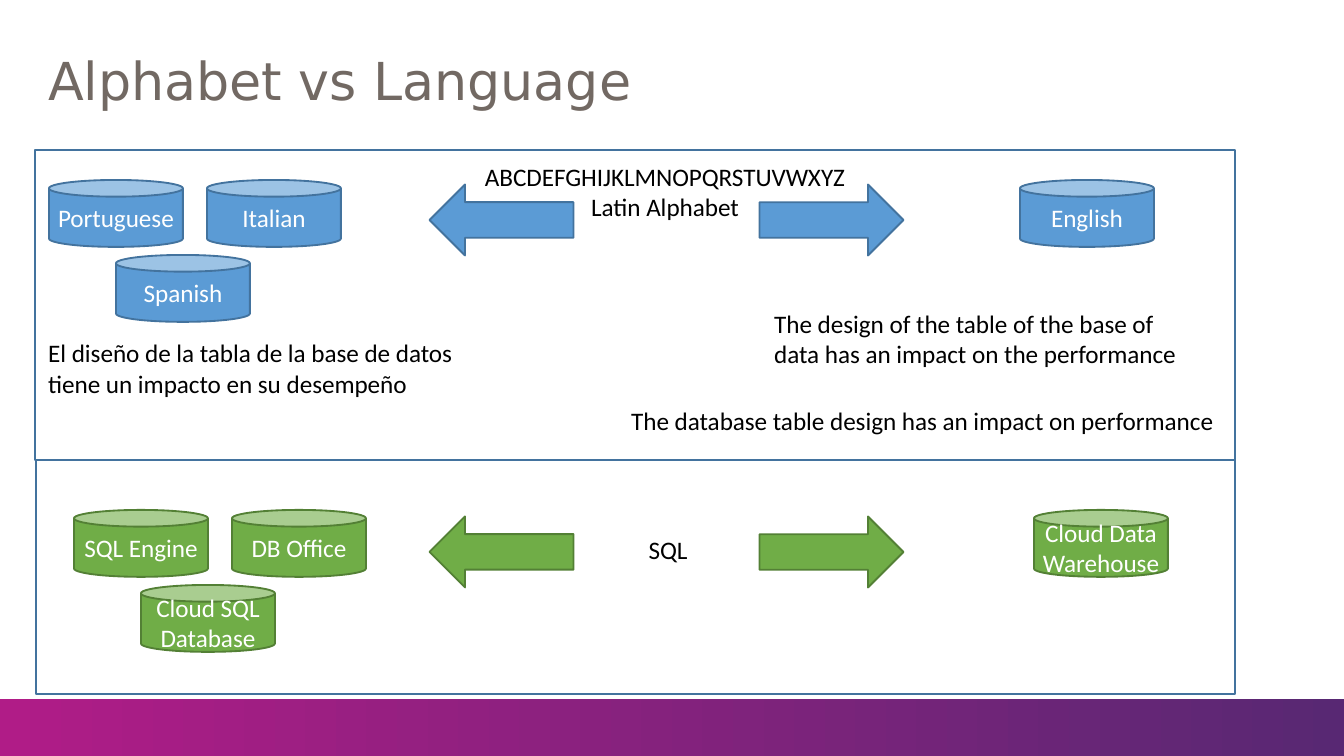
from dataclasses import dataclass

from pptx import Presentation
from pptx.dml.color import RGBColor
from pptx.enum.shapes import MSO_SHAPE as Preset
from pptx.enum.text import MSO_ANCHOR as Anchor, PP_ALIGN as Align
from pptx.util import Emu, Pt

EMU_PER_PX = 9144000 / 1344
COLORS = {
    "blue": "5B9BD5", "blue_edge": "43739E",
    "green": "70AD47", "green_edge": "538035",
    "band_start": "B01C87", "band_end": "582873",
    "title": "726963", "black": "000000", "white": "FFFFFF",
}
BODY_FONT = {"name": "Calibri", "size": Pt(13.5)}
TITLE_FONT = {"name": "DejaVu Sans", "size": Pt(28)}
CAN_INSET = Emu(45720)
CAN_FRAME = {
    "word_wrap": True, "vertical_anchor": Anchor.MIDDLE,
    "margin_left": CAN_INSET, "margin_right": CAN_INSET,
    "margin_top": CAN_INSET, "margin_bottom": CAN_INSET,
}
CAN_SIZE = (134, 67)
ARROW_SIZE = (71, 144)
CLUSTER_OFFSETS = ((0, 0), (158, 0), (67, 75))


@dataclass(frozen=True)
class Box:
    left: int
    top: int
    width: int
    height: int

    def emu(self) -> list[Emu]:
        return [px(n) for n in (self.left, self.top, self.width, self.height)]


@dataclass(frozen=True)
class Caption:
    box: Box
    lines: tuple[str, ...]
    align: Align = Align.LEFT
    wrap: bool = True


@dataclass(frozen=True)
class Family:
    color: str
    cluster_left: int
    top: int
    members: tuple[str, str, str]
    target: str
    target_left: int
    arrow_top: int
    panel: Box


CAPTIONS = (
    Caption(Box(470, 155, 390, 75),
            ("ABCDEFGHIJKLMNOPQRSTUVWXYZ", "Latin Alphabet"), Align.CENTER),
    Caption(Box(35, 331, 450, 75),
            ("El diseño de la tabla de la base de datos tiene un impacto en su desempeño",)),
    Caption(Box(761, 302, 450, 75),
            ("The design of the table of the base of data has an impact on the performance",)),
    Caption(Box(618, 399, 616, 44),
            ("The database table design has an impact on performance",), wrap=False),
    Caption(Box(473, 528, 390, 44), ("SQL",), Align.CENTER),
)
FAMILIES = (
    Family("blue", 49, 180, ("Portuguese", "Italian", "Spanish"),
           "English", 1020, 148, Box(35, 150, 1200, 310)),
    Family("green", 74, 510, ("SQL Engine", "DB Office", "Cloud SQL Database"),
           "Cloud Data Warehouse", 1034, 480, Box(36, 460, 1199, 234)),
)


def px(length: int) -> Emu:
    return Emu(round(length * EMU_PER_PX))


def rgb(key: str) -> RGBColor:
    return RGBColor.from_string(COLORS[key])


def apply(target, values: dict) -> None:
    for key, value in values.items():
        setattr(target, key, value)


def write(frame, lines: tuple[str, ...], font: dict, color: str,
          align: Align, spacing: float = 1.0) -> None:
    for index, line in enumerate(lines):
        paragraph = frame.add_paragraph() if index else frame.paragraphs[0]
        apply(paragraph, {"alignment": align, "line_spacing": spacing})
        run = paragraph.add_run()
        run.text = line
        apply(run.font, font)
        run.font.color.rgb = rgb(color)


def draw_shape(slide, preset: Preset, box: Box, fill: str | None, edge: str | None):
    shape = slide.shapes.add_shape(preset, *box.emu())
    shape.shadow.inherit = False
    if fill:
        shape.fill.solid()
        shape.fill.fore_color.rgb = rgb(fill)
    else:
        shape.fill.background()
    if edge:
        shape.line.color.rgb = rgb(edge)
        shape.line.width = Pt(1)
    else:
        shape.line.fill.background()
    return shape


def draw_band(slide) -> None:
    band = draw_shape(slide, Preset.RECTANGLE, Box(0, 699, 1344, 57), None, None)
    band.fill.gradient()
    band.fill.gradient_angle = 0
    for stop, color in zip(band.fill.gradient_stops, ("band_start", "band_end")):
        stop.color.rgb = rgb(color)


def draw_title(slide) -> None:
    frame = slide.shapes.add_textbox(*Box(35, 33, 1281, 101).emu()).text_frame
    apply(frame, {"word_wrap": True, "vertical_anchor": Anchor.MIDDLE})
    write(frame, ("Alphabet vs Language",), TITLE_FONT, "title", Align.LEFT, 0.9)


def draw_caption(slide, caption: Caption) -> None:
    frame = slide.shapes.add_textbox(*caption.box.emu()).text_frame
    frame.word_wrap = caption.wrap
    write(frame, caption.lines, BODY_FONT, "black", caption.align)


def draw_can(slide, left: int, top: int, label: str, color: str) -> None:
    can = draw_shape(slide, Preset.CAN, Box(left, top, *CAN_SIZE), color, f"{color}_edge")
    apply(can.text_frame, CAN_FRAME)
    write(can.text_frame, (label,), BODY_FONT, "white", Align.CENTER)


def draw_family(slide, family: Family) -> None:
    for (dx, dy), member in zip(CLUSTER_OFFSETS, family.members):
        draw_can(slide, family.cluster_left + dx, family.top + dy, member, family.color)
    draw_can(slide, family.target_left, family.top, family.target, family.color)
    for left, rotation in ((466, 90), (796, 270)):
        arrow = draw_shape(slide, Preset.DOWN_ARROW, Box(left, family.arrow_top, *ARROW_SIZE),
                           family.color, f"{family.color}_edge")
        arrow.rotation = rotation
    draw_shape(slide, Preset.RECTANGLE, family.panel, None, "blue_edge")


def main() -> None:
    deck = Presentation()
    apply(deck, {"slide_width": px(1344), "slide_height": px(756)})
    slide = deck.slides.add_slide(deck.slide_layouts[6])
    draw_band(slide)
    draw_title(slide)
    for caption in CAPTIONS:
        draw_caption(slide, caption)
    for family in FAMILIES:
        draw_family(slide, family)
    deck.save("out.pptx")


if __name__ == "__main__":
    main()
